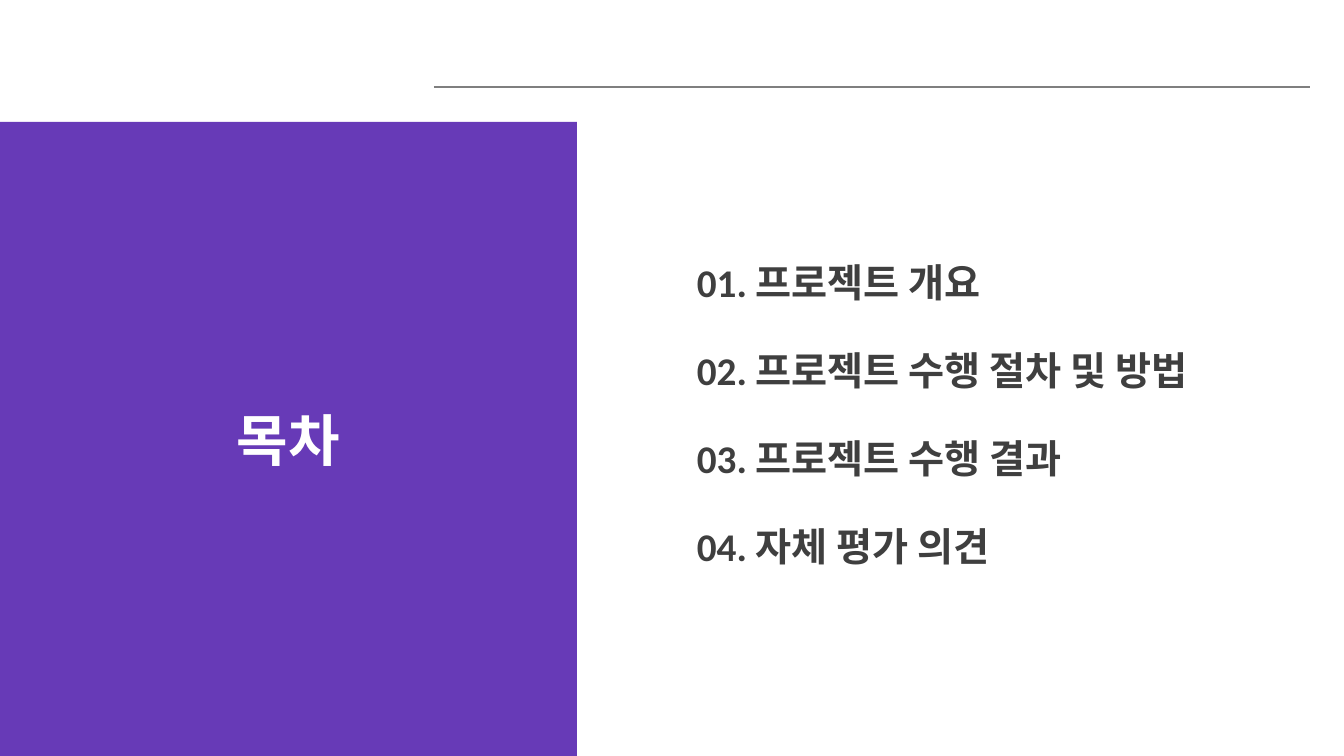
import pptx
import pptx.dml.color
import pptx.enum.shapes
import pptx.enum.text
import pptx.oxml
import pptx.util
from dataclasses import dataclass

PX = 914400 / 100.8


def px(length):
    return pptx.util.Emu(round(length * PX))


def rgb(code):
    return pptx.dml.color.RGBColor.from_string(code)


@dataclass(frozen=True)
class Theme:
    purple: str = "673AB7"
    white: str = "FFFFFF"
    ink: str = "3F3F3F"
    rule: str = "7F7F7F"
    title_font: str = "Arial"
    entry_font: str = "Calibri"
    title_size: int = 40
    entry_size: int = 28


theme = Theme()
presentation = pptx.Presentation()
presentation.slide_width, presentation.slide_height = px(1344), px(756)
slide = presentation.slides.add_slide(presentation.slide_layouts.get_by_name("Title Only"))

# Agenda entries, with the width of each box
entries = [
    ("프로젝트 개요", 405),
    ("프로젝트 수행 절차 및 방법", 547),
    ("프로젝트 수행 결과", 584),
    ("자체 평가 의견", 494),
]
for index, (entry, width) in enumerate(entries):
    box = slide.shapes.add_textbox(px(687), px(258 + 88 * index), px(width), px(47))
    frame = box.text_frame
    frame.word_wrap = True
    frame.auto_size = pptx.enum.text.MSO_AUTO_SIZE.SHAPE_TO_FIT_TEXT
    frame.margin_top = frame.margin_bottom = 0
    paragraph = frame.paragraphs[0]
    paragraph.text = f"{index + 1:02}. {entry}"
    paragraph.font.name = theme.entry_font
    paragraph.font.size = pptx.util.Pt(theme.entry_size)
    paragraph.font.bold = True
    paragraph.font.color.rgb = rgb(theme.ink)

# Purple title panel
title = slide.shapes.title
title.left, title.top, title.width, title.height = px(0), px(122), px(577), px(634)
title.fill.solid()
title.fill.fore_color.rgb = rgb(theme.purple)
title.text_frame.auto_size = pptx.enum.text.MSO_AUTO_SIZE.NONE
title.text_frame.vertical_anchor = pptx.enum.text.MSO_ANCHOR.MIDDLE
paragraph = title.text_frame.paragraphs[0]
paragraph.text = "목차"
paragraph.alignment = pptx.enum.text.PP_ALIGN.CENTER
paragraph.font.name = theme.title_font
paragraph.font.size = pptx.util.Pt(theme.title_size)
paragraph.font.bold = True
paragraph.font.color.rgb = rgb(theme.white)

# Thin rule across the top
rule = slide.shapes.add_connector(
    pptx.enum.shapes.MSO_CONNECTOR.STRAIGHT, px(434), px(87), px(1310), px(87))
rule.line.color.rgb = rgb(theme.rule)
rule.line.width = pptx.util.Pt(1)
rule.element.spPr.append(pptx.oxml.parse_xml(
    '<a:effectLst xmlns:a="http://schemas.openxmlformats.org/drawingml/2006/main"/>'))

presentation.save("out.pptx")
